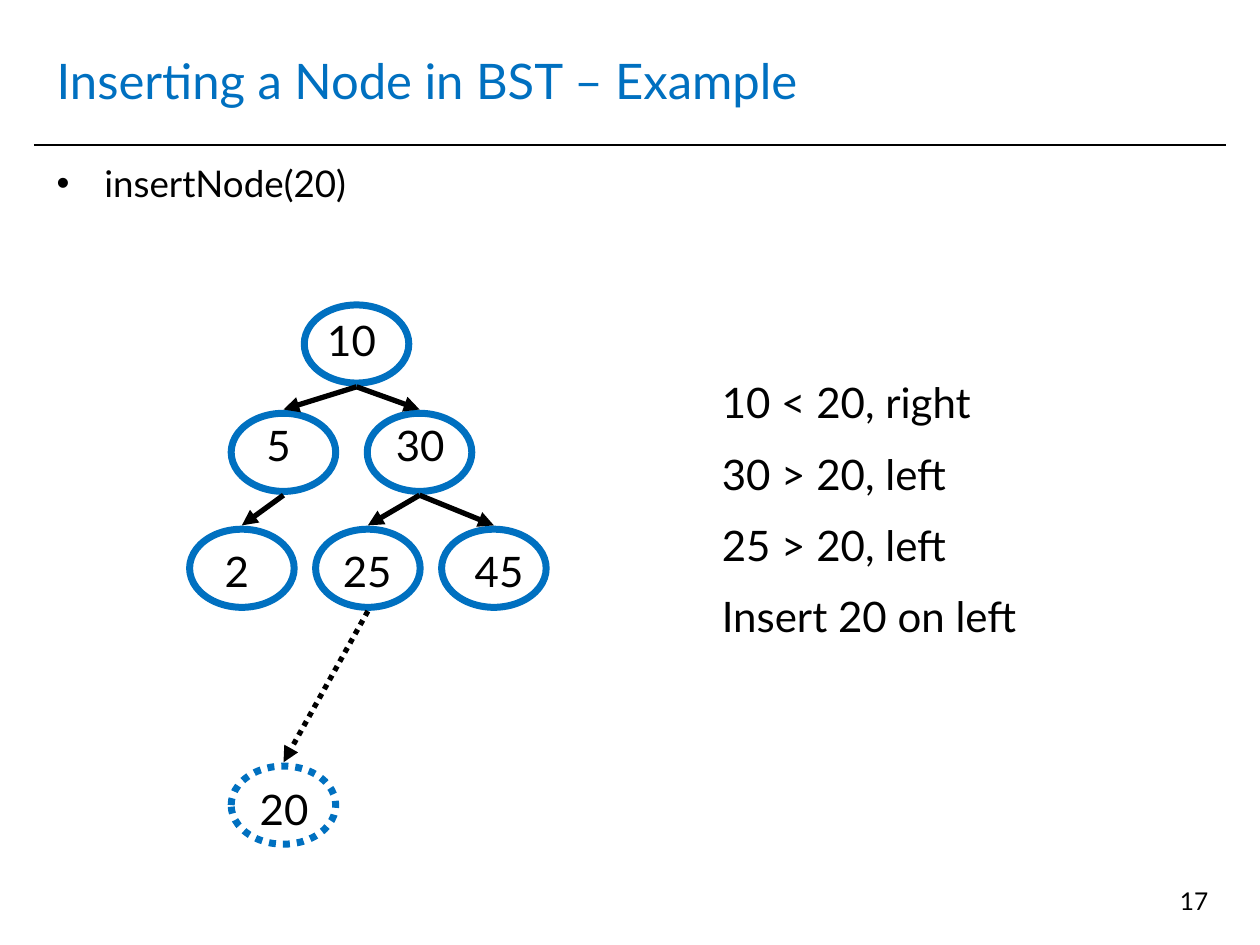
from lxml import etree
from pptx import Presentation
from pptx.dml.color import RGBColor
from pptx.enum import dml, shapes, text
from pptx.oxml import ns
from pptx.util import Inches, Pt

COLORS = {"accent": "0070C0", "ink": "000000"}
FONT = "Lato"
NODE_W, NODE_H = 0.83, 0.62
ARROW_GAP = 0.03

# value: (centre x, node top, label box left, top, width)
NODES = {
    "10": (2.83, 2.42, 2.5, 2.45, 0.58),
    "5": (2.25, 3.28, 2, 3.28, 0.42),
    "30": (3.33, 3.28, 3, 3.28, 0.67),
    "2": (1.92, 4.2, 1.67, 4.28, 0.42),
    "25": (2.92, 4.2, 2.58, 4.28, 0.67),
    "45": (3.92, 4.2, 3.67, 4.28, 0.58),
    "20": (2.25, 6.08, 1.92, 6.17, 0.67),
}
EDGES = [("10", "5"), ("10", "30"), ("5", "2"), ("30", "25"), ("30", "45"), ("25", "20")]
NEW_NODE = "20"
STEPS = ["10 < 20, right", "30 > 20, left", "25 > 20, left", "Insert 20 on left"]


def color(name):
    return RGBColor.from_string(COLORS[name])


def add_span(para, words, size, name="ink"):
    span = para.add_run()
    span.text = words
    span.font.name = FONT
    span.font.size = Pt(size)
    span.font.color.rgb = color(name)


def add_text(page, box, lines, size, align=text.PP_ALIGN.LEFT, before=0):
    frame = page.shapes.add_textbox(*map(Inches, box)).text_frame
    frame.word_wrap = True
    for index, words in enumerate(lines):
        para = frame.add_paragraph() if index else frame.paragraphs[0]
        para.alignment = align
        para.space_before = Pt(before)
        add_span(para, words, size)
    return frame


def add_line(page, start, end, width):
    line = page.shapes.add_connector(
        shapes.MSO_CONNECTOR.STRAIGHT, *map(Inches, (*start, *end)))
    line.line.color.rgb = color("ink")
    line.line.width = Pt(width)
    etree.SubElement(line._element.spPr, ns.qn("a:effectLst"))
    return line


def add_title(page, box, words):
    title = page.shapes.title
    title.left, title.top, title.width, title.height = map(Inches, box)
    frame = title.text_frame
    frame.auto_size = text.MSO_AUTO_SIZE.NONE
    frame.vertical_anchor = text.MSO_ANCHOR.MIDDLE
    frame.paragraphs[0].alignment = text.PP_ALIGN.LEFT
    add_span(frame.paragraphs[0], words, 28, "accent")


def add_bullet(page, box, words):
    para = add_text(page, box, [words], 21, before=4).paragraphs[0]
    props = para._p.get_or_add_pPr()
    props.set("marL", str(Inches(0.38)))
    props.set("indent", str(-Inches(0.38)))
    font = etree.SubElement(props, ns.qn("a:buFont"))
    font.set("typeface", "Arial")
    etree.SubElement(props, ns.qn("a:buChar")).set("char", "•")


def add_node(page, value):
    center, top, left, label_top, width = NODES[value]
    node = page.shapes.add_shape(
        shapes.MSO_SHAPE.OVAL,
        *map(Inches, (center - NODE_W / 2, top, NODE_W, NODE_H)))
    node.shadow.inherit = False
    node.fill.background()
    node.line.color.rgb = color("accent")
    node.line.width = Pt(4)
    if value == NEW_NODE:
        node.line.dash_style = dml.MSO_LINE.ROUND_DOT
    label = add_text(page, (left, label_top, width, 0.5), [value], 24,
                     text.PP_ALIGN.CENTER)
    # Zero side margins keep two digits on one line
    label.margin_left = label.margin_right = 0
    label.word_wrap = False


def add_edge(page, parent, child):
    start_x, start_top = NODES[parent][:2]
    end_x, end_top = NODES[child][:2]
    arrow = add_line(page, (start_x, start_top + NODE_H + ARROW_GAP),
                     (end_x, end_top - ARROW_GAP), 3)
    if child == NEW_NODE:
        arrow.line.dash_style = dml.MSO_LINE.ROUND_DOT
    head = etree.SubElement(arrow.line._get_or_add_ln(), ns.qn("a:tailEnd"))
    head.set("type", "triangle")


def add_tree(page):
    for value in NODES:
        add_node(page, value)
    for parent, child in EDGES:
        add_edge(page, parent, child)


def main():
    deck = Presentation()
    deck.slide_width, deck.slide_height = Inches(10), Inches(7.5)
    page = deck.slides.add_slide(deck.slide_layouts[5])

    # Heading, rule and call
    add_line(page, (0.27, 1.15), (9.73, 1.15), 1)
    add_title(page, (0.35, 0.21, 9.29, 0.85), "Inserting a Node in BST – Example")
    add_bullet(page, (0.35, 1.23, 9.29, 0.58), "insertNode(20)")

    # Search tree and the comparisons made
    add_tree(page)
    add_text(page, (5.63, 2.94, 3.75, 2.32), STEPS, 24, before=12)

    # Page number
    add_text(page, (7.36, 6.98, 2.33, 0.52), ["17"], 14, text.PP_ALIGN.RIGHT)
    deck.save("out.pptx")


if __name__ == "__main__":
    main()
